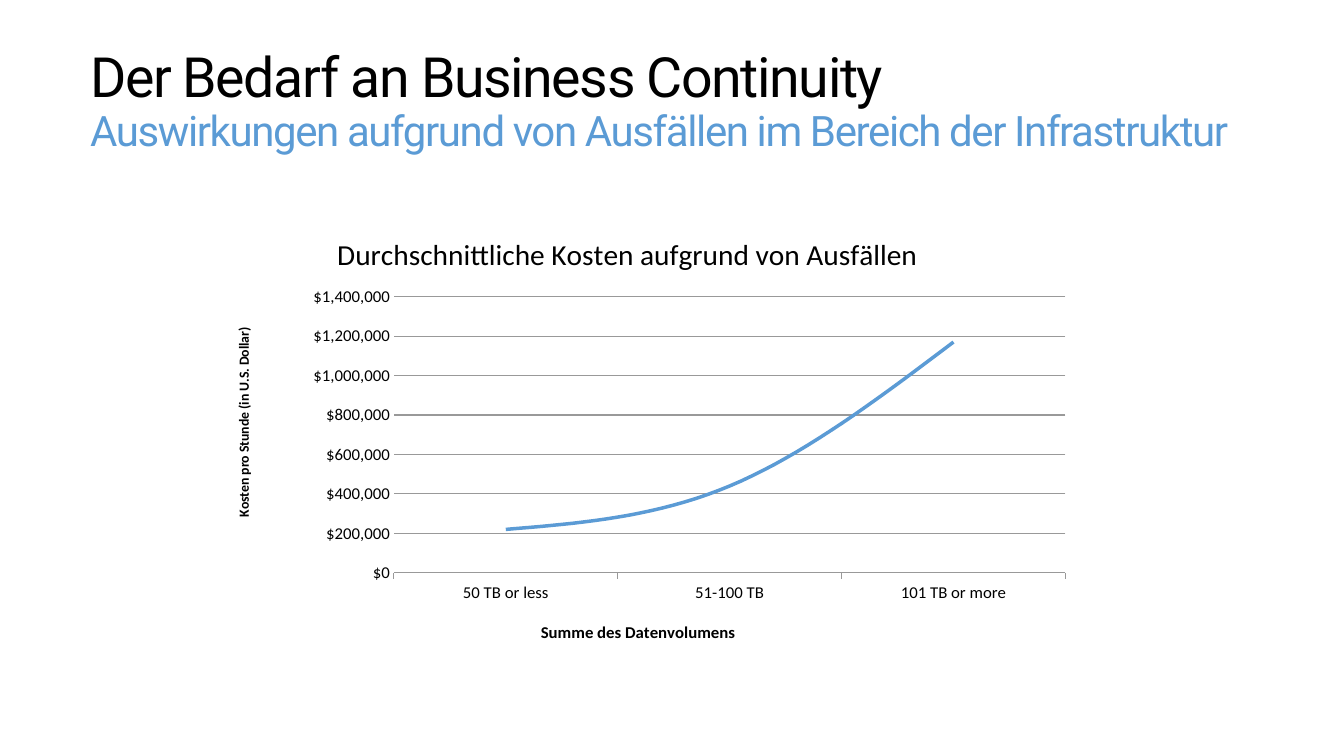
"""Build a slide with a line chart of average outage costs by data volume."""
from lxml import etree
from pptx import Presentation, util as u
from pptx.chart import data as cd
from pptx.dml.color import RGBColor
from pptx.enum import chart as ce, text as te
from pptx.oxml import ns

BLUE, GREY, BLACK, WHITE = "5B9BD5", "999999", "000000", "FFFFFF"
LEFT, TOP, WIDE, HIGH = 177, 207, 889, 441


def style(font, **vals):
    """Set font values, with the colour as a hex string."""
    font.color.rgb = RGBColor.from_string(vals.pop("color", BLACK))
    for key, val in vals.items():
        setattr(font, key, val)


def place(node, spot, **sides):
    """Fix a chart part at slide pixels, as child number spot."""
    for old in node.findall(ns.qn("c:layout")):
        node.remove(old)
    lay = etree.Element(ns.qn("c:layout"))
    man = etree.SubElement(lay, ns.qn("c:manualLayout"))
    tags = [("xMode", "edge"), ("yMode", "edge")]
    if "w" in sides:
        tags.insert(0, ("layoutTarget", "inner"))
    base = {"x": (LEFT, WIDE), "y": (TOP, HIGH), "w": (0, WIDE), "h": (0, HIGH)}
    for key, val in sides.items():
        start, full = base[key]
        tags.append((key, f"{(val - start) / full:.4f}"))
    for tag, val in tags:
        etree.SubElement(man, ns.qn(f"c:{tag}")).set("val", val)
    node.insert(spot, lay)


PX = 914400 / 100.8
prs = Presentation()
prs.slide_width, prs.slide_height = round(1344 * PX), round(756 * PX)
slide = prs.slides.add_slide(prs.slide_layouts[5])

head = slide.shapes.title
box = {"left": 80, "top": 40, "width": 1159, "height": 70}
for key, val in box.items():
    setattr(head, key, round(val * PX))
frame = head.text_frame
form = {"word_wrap": True, "auto_size": te.MSO_AUTO_SIZE.NONE,
        "vertical_anchor": te.MSO_ANCHOR.TOP}
for side in ("left", "top", "right", "bottom"):
    form[f"margin_{side}"] = u.Inches(0.1)
for key, val in form.items():
    setattr(frame, key, val)
para = frame.paragraphs[0]
para.alignment, para.line_spacing = te.PP_ALIGN.LEFT, 0.9
lines = [("Der Bedarf an Business Continuity", 39.6, BLACK),
         ("Auswirkungen aufgrund von Ausfällen im Bereich der Infrastruktur", 30, BLUE)]
for num, (words, size, color) in enumerate(lines):
    if num:
        para.add_line_break()
    run = para.add_run()
    run.text = words
    style(run.font, name="Roboto", size=u.Pt(size), color=color)
    run.font._element.set("spc", "-100")

data = cd.CategoryChartData(number_format='"$"#,##0')
data.categories = ["50 TB or less", "51-100 TB", "101 TB or more"]
data.add_series("Series 1", [220000, 440000, 1170000])
area = [round(val * PX) for val in (LEFT, TOP, WIDE, HIGH)]
chart = slide.shapes.add_chart(ce.XL_CHART_TYPE.LINE, *area, data).chart
chart.has_legend = False
style(chart.font, name="Calibri", size=u.Pt(10))

cat, cost = chart.category_axis, chart.value_axis
titles = [(chart, "chart_title", "Durchschnittliche Kosten aufgrund von Ausfällen", 21, False, 332, 229),
          (cat, "axis_title", "Summe des Datenvolumens", 12, True, 538, 624),
          (cost, "axis_title", "Kosten pro Stunde (in U.S. Dollar)", 10, True, 232, 329)]
for part, kind, words, size, bold, x, y in titles:
    title = getattr(part, kind)
    para = title.text_frame.paragraphs[0]
    run = para.add_run()
    run.text = words
    style(run.font, name="Calibri", size=u.Pt(size), bold=bold)
    place(title._element, 1, x=x, y=y)

for axis in (cat, cost):
    style(axis.tick_labels.font, name="Calibri", size=u.Pt(12))
    axis.minor_tick_mark = ce.XL_TICK_MARK.NONE
cat.major_tick_mark = ce.XL_TICK_MARK.OUTSIDE
scale = {"minimum_scale": 0, "maximum_scale": 1400000, "major_unit": 200000,
         "major_tick_mark": ce.XL_TICK_MARK.NONE, "has_major_gridlines": True}
for key, val in scale.items():
    setattr(cost, key, val)
cost.tick_labels.number_format = '"$"#,##0'
cost.tick_labels.number_format_is_linked = False
cost.format.line.fill.background()

plot = chart.plots[0]
plot.vary_by_categories = False
curve = plot.series[0]
curve.smooth = True
strokes = [(cat, GREY, 0.75), (cost.major_gridlines, GREY, 0.75), (curve, BLUE, 2.5)]
for part, color, width in strokes:
    part.format.line.color.rgb = RGBColor.from_string(color)
    part.format.line.width = u.Pt(width)

pane = chart._chartSpace.chart.plotArea
place(pane, 0, x=395, y=298, w=672, h=280)
look = etree.SubElement(pane, ns.qn("c:spPr"))
fill = etree.SubElement(look, ns.qn("a:solidFill"))
etree.SubElement(fill, ns.qn("a:srgbClr")).set("val", WHITE)

prs.save("out.pptx")
